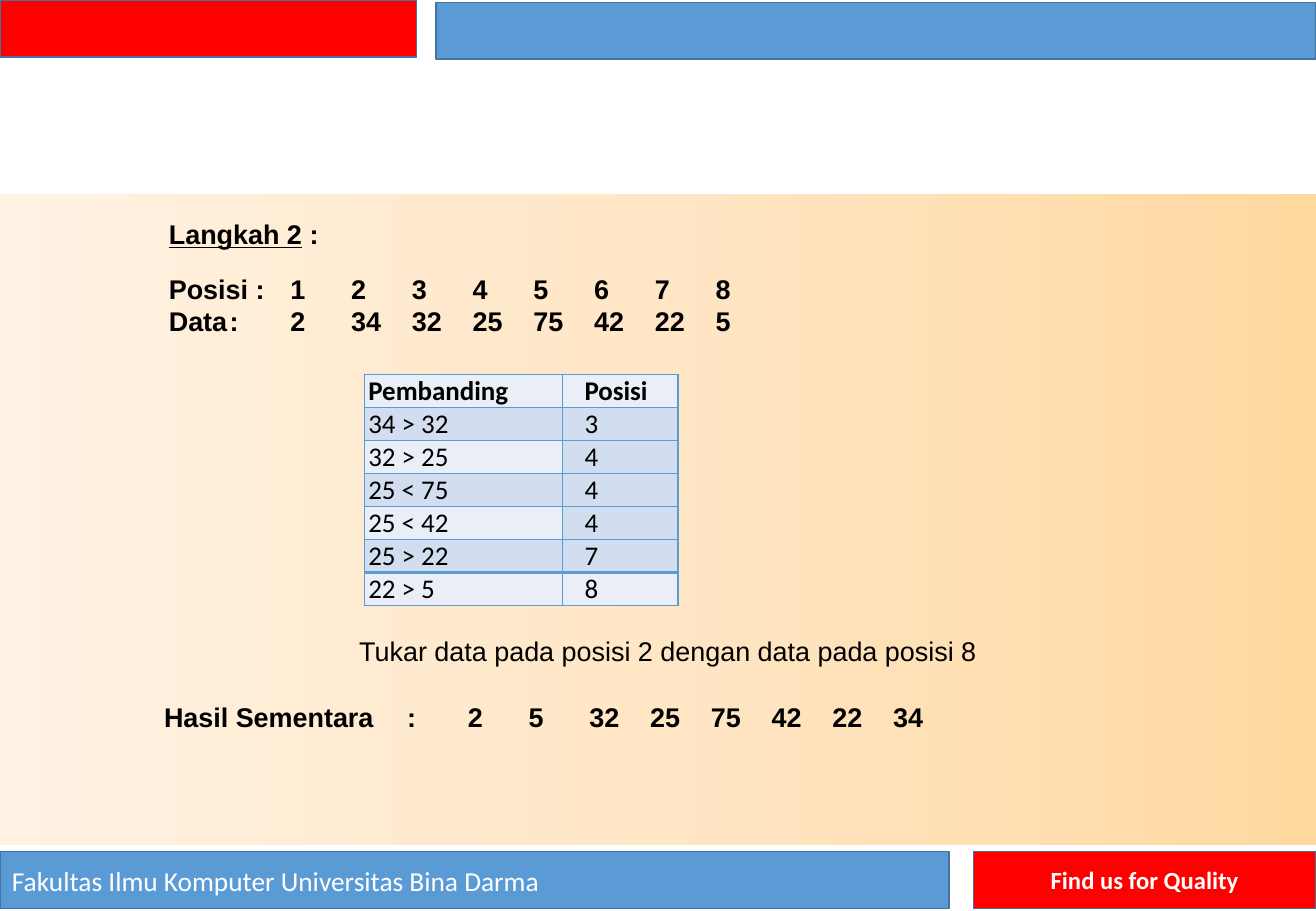
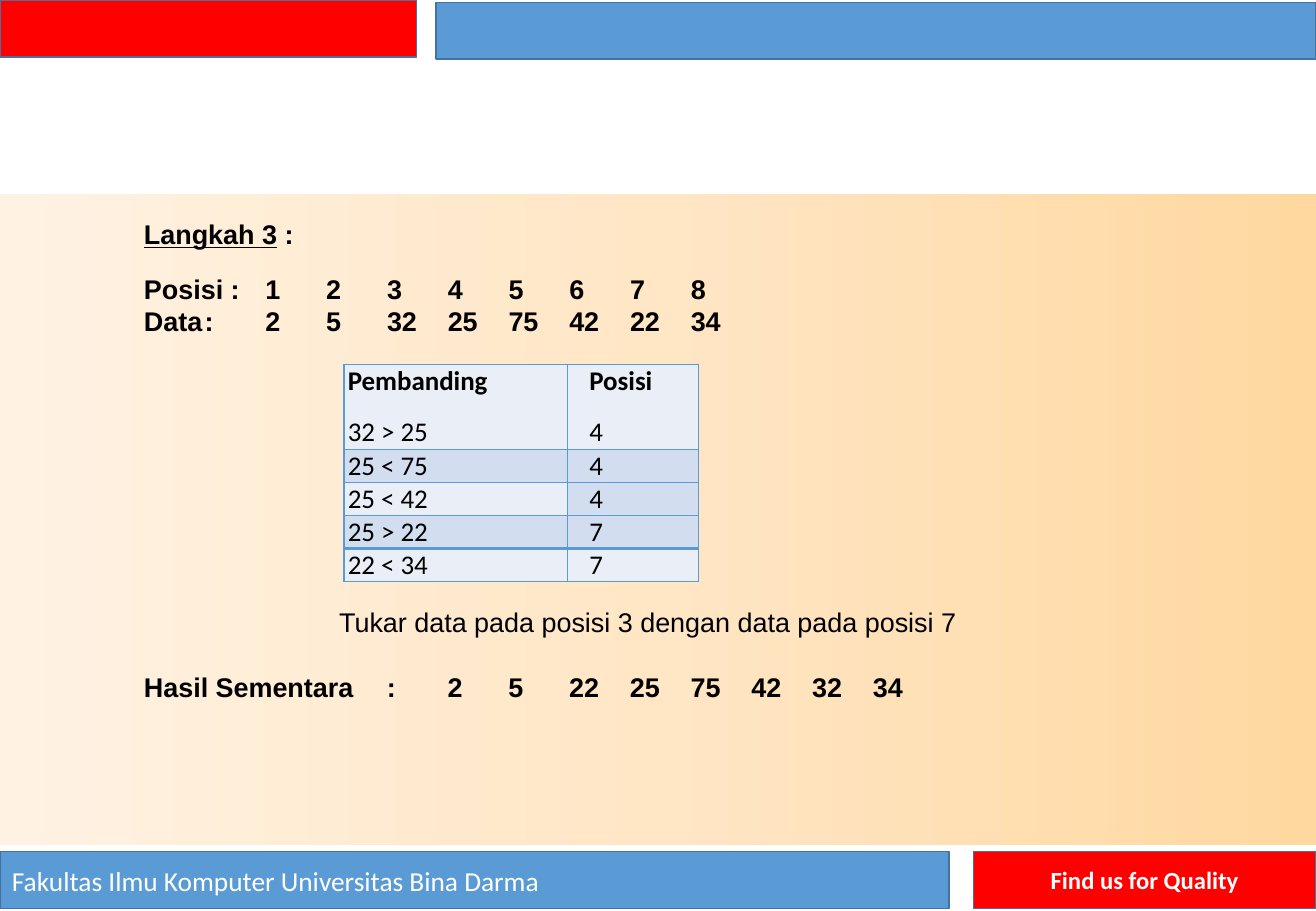
"""Build two slides that trace steps 2 and 3 of a selection sort."""
from copy import deepcopy

from lxml import etree
from pptx import Presentation
from pptx.dml.color import RGBColor
from pptx.enum import shapes, text
from pptx.oxml import ns
from pptx.util import Cm, Pt

RED, BLUE, OUTLINE = "FF0000", "5B9BD5", "43739E"
LIGHT, DARK, BLACK, WHITE = "EAEFF7", "D2DEEF", "000000", "FFFFFF"
STEP = 1.72
ROW_HEIGHT = 0.69


def color(value):
    return RGBColor.from_string(value)


def format_text(frame, size, font="Arial", bold=False, ink=BLACK, tabs=()):
    frame.word_wrap = True
    frame.auto_size = text.MSO_AUTO_SIZE.NONE
    frame.vertical_anchor = text.MSO_ANCHOR.TOP
    frame.margin_left = frame.margin_right = frame.margin_top = frame.margin_bottom = 0
    for para in frame.paragraphs:
        para.alignment = text.PP_ALIGN.LEFT
        para.space_before = Pt(0)
        for span in para.runs:
            span.font.size, span.font.name, span.font.bold = Pt(size), font, bold
            span.font.color.rgb = color(ink)
        props = para._p.get_or_add_pPr()
        props.set("marL", "0")
        props.set("indent", "0")
        etree.SubElement(props, ns.qn("a:buNone"))
        if tabs:
            stops = etree.SubElement(props, ns.qn("a:tabLst"))
            for position, kind in tabs:
                etree.SubElement(stops, ns.qn("a:tab"), pos=str(Cm(position)), algn=kind)


steps = [
    dict(title="Langkah 2", left=3.53, data="2 34 32 25 75 42 22 5",
         table_at=(7.62, 7.83), columns=(4.14, 2.41), head_height=ROW_HEIGHT,
         rows=[("Pembanding", "Posisi"), ("34 > 32", "3"), ("32 > 25", "4"),
               ("25 < 75", "4"), ("25 < 42", "4"), ("25 > 22", "7"), ("22 > 5", "8")],
         swap="Tukar data pada posisi 2 dengan data pada posisi 8",
         result="2 5 32 25 75 42 22 34", result_at=(3.43, 13.28), result_tab=6.42),
    dict(title="Langkah 3", left=3.01, data="2 5 32 25 75 42 22 34",
         table_at=(7.19, 7.62), columns=(4.67, 2.74), head_height=1.78,
         rows=[("Pembanding\n32 > 25", "Posisi\n4"), ("25 < 75", "4"), ("25 < 42", "4"),
               ("25 > 22", "7"), ("22 < 34", "7")],
         swap="Tukar data pada posisi 3 dengan data pada posisi 7",
         result="2 5 22 25 75 42 32 34", result_at=(3.01, 12.66), result_tab=6.27),
]

deck = Presentation()
deck.slide_width, deck.slide_height = Cm(27.51), Cm(19.05)
layout = deck.slide_layouts[1]
pages = [deck.slides.add_slide(layout) for step in steps]

bands = [
    (0, 4.06, 27.51, 13.61, None, "", 0, False),
    (0, 0, 8.71, 1.19, RED, "", 0, False),
    (9.12, 0.05, 18.39, 1.19, BLUE, "", 0, False),
    (0, 17.81, 19.84, 1.19, BLUE, "Fakultas Ilmu Komputer Universitas Bina Darma", 16.2, False),
    (20.35, 17.81, 7.16, 1.19, RED, "Find us for Quality", 14.6, True),
]
for index, (left, top, width, height, fill, label, size, bold) in enumerate(bands):
    band = pages[0].shapes.add_shape(
        shapes.MSO_SHAPE.RECTANGLE, Cm(left), Cm(top), Cm(width), Cm(height))
    band.shadow.inherit = False
    if fill:
        band.fill.solid()
        band.fill.fore_color.rgb = color(fill)
        band.line.color.rgb = color(OUTLINE)
        band.line.width = Pt(1)
    else:
        band.line.fill.background()
        band.fill.gradient()
        band.fill.gradient_angle = 180
        stops = next(band.element.iter(ns.qn("a:gsLst")))
        stops.insert(1, deepcopy(stops[0]))
        shades = (0, "FFD8A0"), (0.5, "FFE6C5"), (1, "FFF2E3")
        for stop, (position, shade) in zip(band.fill.gradient_stops, shades):
            stop.position = position
            stop.color.rgb = color(shade)
    if label:
        frame = band.text_frame
        frame.text = label
        format_text(frame, size, "Calibri", bold, WHITE)
        frame.vertical_anchor = text.MSO_ANCHOR.MIDDLE
        if bold:
            frame.paragraphs[0].alignment = text.PP_ALIGN.CENTER
        else:
            frame.margin_left = Cm(0.25)
    layout.shapes.element.insert(2 + index, band.element)

for page, step in zip(pages, steps):
    title, body = page.placeholders
    title.left, title.top, title.width, title.height = Cm(step["left"]), Cm(4.55), Cm(18), Cm(0.7)
    title.text_frame.text = step["title"]
    title.text_frame.paragraphs[0].add_run().text = " :"
    format_text(title.text_frame, 16, bold=True)
    title.text_frame.paragraphs[0].runs[0].font.underline = True

    body.left, body.top, body.width, body.height = Cm(step["left"]), Cm(5.7), Cm(20), Cm(1.35)
    positions = "\t".join(str(number) for number in range(1, 9))
    values = "\t".join(step["data"].split())
    body.text_frame.text = f"Posisi :\t{positions}\nData\t:\t{values}"
    tabs = [(1.86, "l")] + [(4.03 + STEP * column, "ctr") for column in range(8)]
    format_text(body.text_frame, 16, bold=True, tabs=tabs)

    rows = step["rows"]
    heights = [step["head_height"]] + [ROW_HEIGHT] * (len(rows) - 1)
    left, top = step["table_at"]
    table = page.shapes.add_table(
        len(rows), 2, Cm(left), Cm(top), Cm(sum(step["columns"])), Cm(sum(heights))).table
    table.first_row = table.horz_banding = False
    for column, width in zip(table.columns, step["columns"]):
        column.width = Cm(width)
    last = len(rows) - 1
    for r, row in enumerate(rows):
        table.rows[r].height = Cm(heights[r])
        for c, value in enumerate(row):
            cell = table.cell(r, c)
            cell.text = value
            format_text(cell.text_frame, 16, "Calibri")
            cell.margin_left = Cm((0.08, 0.46)[c])
            cell.margin_right = cell.margin_top = cell.margin_bottom = 0
            paras = cell.text_frame.paragraphs
            paras[0].runs[0].font.bold = r == 0
            for para in paras[1:]:
                para.space_before = Pt(11)
            cell.fill.solid()
            dark = 0 < r < last and (c == 1 or r % 2 == 1)
            cell.fill.fore_color.rgb = color(DARK if dark else LIGHT)
            for index, side in enumerate("LRTB"):
                heavy = (side == "T" and r == last) or (side == "B" and r == last - 1)
                edge = etree.Element(ns.qn("a:ln" + side), w=str(Pt(2 if heavy else 1)))
                paint = etree.SubElement(edge, ns.qn("a:solidFill"))
                etree.SubElement(paint, ns.qn("a:srgbClr"), val=BLUE)
                cell._tc.get_or_add_tcPr().insert(index, edge)

    left, top = step["result_at"]
    box = page.shapes.add_textbox(Cm(left), Cm(top), Cm(22), Cm(2.1))
    values = "\t".join(step["result"].split())
    box.text_frame.text = f"{step['swap']}\nHasil Sementara\t:\t{values}"
    first = step["result_tab"]
    tabs = [(first - 1.58, "l")] + [(first + STEP * column, "ctr") for column in range(8)]
    format_text(box.text_frame, 16, tabs=tabs)
    swap, result = box.text_frame.paragraphs
    swap._p.get_or_add_pPr().set("marL", str(Cm(4.08)))
    result.space_before = Pt(19.5)
    result.runs[0].font.bold = True

deck.save("out.pptx")
